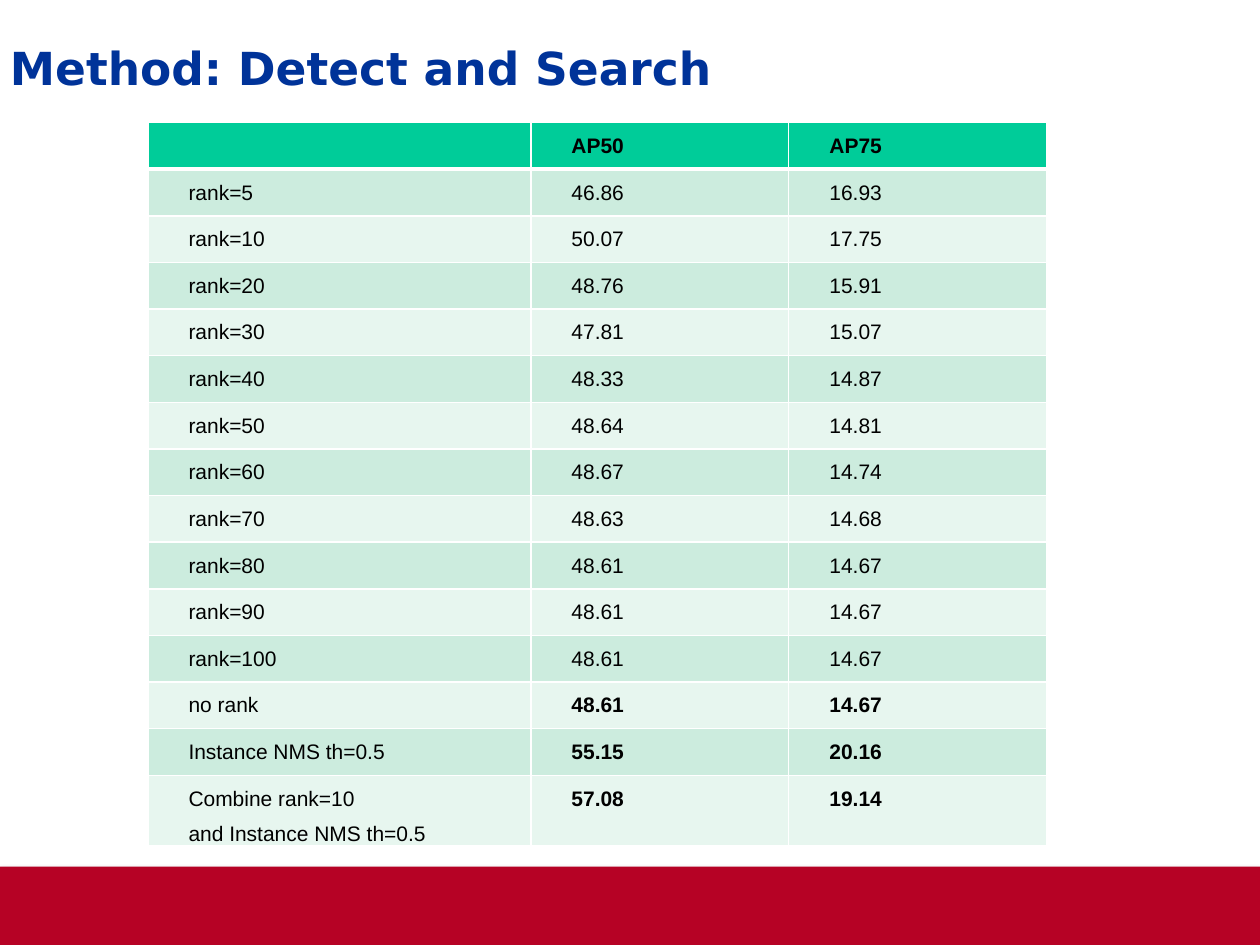
from lxml.etree import SubElement
from pptx import Presentation
from pptx.dml.color import RGBColor
from pptx.enum.shapes import MSO_SHAPE
from pptx.enum.text import MSO_ANCHOR, MSO_AUTO_SIZE, PP_ALIGN
from pptx.oxml.ns import qn
from pptx.util import Cm, Pt

NAVY = RGBColor(0x00, 0x33, 0x99)
RED = RGBColor(0xB6, 0x02, 0x25)
GREEN = RGBColor(0x00, 0xCC, 0x99)
BANDS = [RGBColor(0xE7, 0xF6, 0xEF), RGBColor(0xCC, 0xEC, 0xDE)]
BLACK = RGBColor(0, 0, 0)
WHITE = RGBColor(0xFF, 0xFF, 0xFF)

ROWS = [
    ("", "AP50", "AP75"),
    ("rank=5", "46.86", "16.93"),
    ("rank=10", "50.07", "17.75"),
    ("rank=20", "48.76", "15.91"),
    ("rank=30", "47.81", "15.07"),
    ("rank=40", "48.33", "14.87"),
    ("rank=50", "48.64", "14.81"),
    ("rank=60", "48.67", "14.74"),
    ("rank=70", "48.63", "14.68"),
    ("rank=80", "48.61", "14.67"),
    ("rank=90", "48.61", "14.67"),
    ("rank=100", "48.61", "14.67"),
    ("no rank", "48.61", "14.67"),
    ("Instance NMS th=0.5", "55.15", "20.16"),
    ("Combine rank=10\nand Instance NMS th=0.5", "57.08", "19.14"),
]
FIRST_BOLD_ROW = 12


def add_run(p, text, size, font, color, bold):
    r = p.add_run()
    r.text = text
    r.font.size = Pt(size)
    r.font.name = font
    r.font.color.rgb = color
    r.font.bold = bold


def set_border(cell, side, width):
    ln = SubElement(cell._tc.get_or_add_tcPr(), qn(f"a:ln{side}"), w=str(Pt(width)))
    SubElement(SubElement(ln, qn("a:solidFill")), qn("a:srgbClr"), val=str(WHITE))


prs = Presentation()
prs.slide_width, prs.slide_height = Cm(25.4), Cm(19.05)
s = prs.slides.add_slide(prs.slide_layouts[5])

footer = s.shapes.add_shape(MSO_SHAPE.RECTANGLE, 0, Cm(17.47), Cm(25.4), Cm(1.58))
footer.fill.solid()
footer.fill.fore_color.rgb = RED
footer.line.fill.background()
footer.shadow.inherit = False
effects = footer._element.spPr.find(qn("a:effectLst"))
shadow = SubElement(effects, qn("a:outerShdw"), blurRad=str(Pt(3.1)),
                    dist=str(Pt(1.8)), dir="5400000", rotWithShape="0")
shade = SubElement(shadow, qn("a:srgbClr"), val=str(BLACK))
SubElement(shade, qn("a:alpha"), val="35000")

title = s.shapes.title
title.left, title.top, title.width, title.height = Cm(0.2), Cm(0.48), Cm(24.82), Cm(2)
tf = title.text_frame
tf.word_wrap = True
tf.auto_size = MSO_AUTO_SIZE.NONE
tf.vertical_anchor = MSO_ANCHOR.MIDDLE
tf.margin_left = tf.margin_top = 0
tf.margin_right, tf.margin_bottom = Cm(0.25), Cm(0.13)
p = tf.paragraphs[0]
p.alignment = PP_ALIGN.LEFT
p.line_spacing = 0.95
add_run(p, "Method: Detect and Search", 26, "DejaVu Sans", NAVY, True)

frame = s.shapes.add_table(len(ROWS), 3, Cm(2.98), Cm(2.47), Cm(18.12), Cm(14.57))
table = frame.table
table.horz_banding = False
for column, width in zip(table.columns, (7.72, 5.2, 5.2)):
    column.width = Cm(width)
for row in table.rows:
    row.height = Cm(0.94)
table.rows[len(ROWS) - 1].height = Cm(1.41)

for i, values in enumerate(ROWS):
    for j, value in enumerate(values):
        cell = table.cell(i, j)
        cell.margin_left = cell.margin_right = Cm(0.18)
        cell.margin_top = cell.margin_bottom = 0
        for side in "LRTB":
            heavy = (i == 0 and side == "B") or (i == 1 and side == "T")
            set_border(cell, side, 3 if heavy else 1)
        cell.fill.solid()
        cell.fill.fore_color.rgb = BANDS[i % 2] if i else GREEN
        if not value:
            continue
        bold = i == 0 or (i >= FIRST_BOLD_ROW and j > 0)
        for k, line in enumerate(value.split("\n")):
            tf = cell.text_frame
            p = tf.add_paragraph() if k else tf.paragraphs[0]
            p.alignment = PP_ALIGN.JUSTIFY
            p.line_spacing = 1.5
            pPr = p._p.get_or_add_pPr()
            pPr.set("marL", str(Cm(0.64)))
            pPr.set("indent", "0")
            add_run(p, line, 12, "Arial", BLACK, bold)

prs.save("out.pptx")
